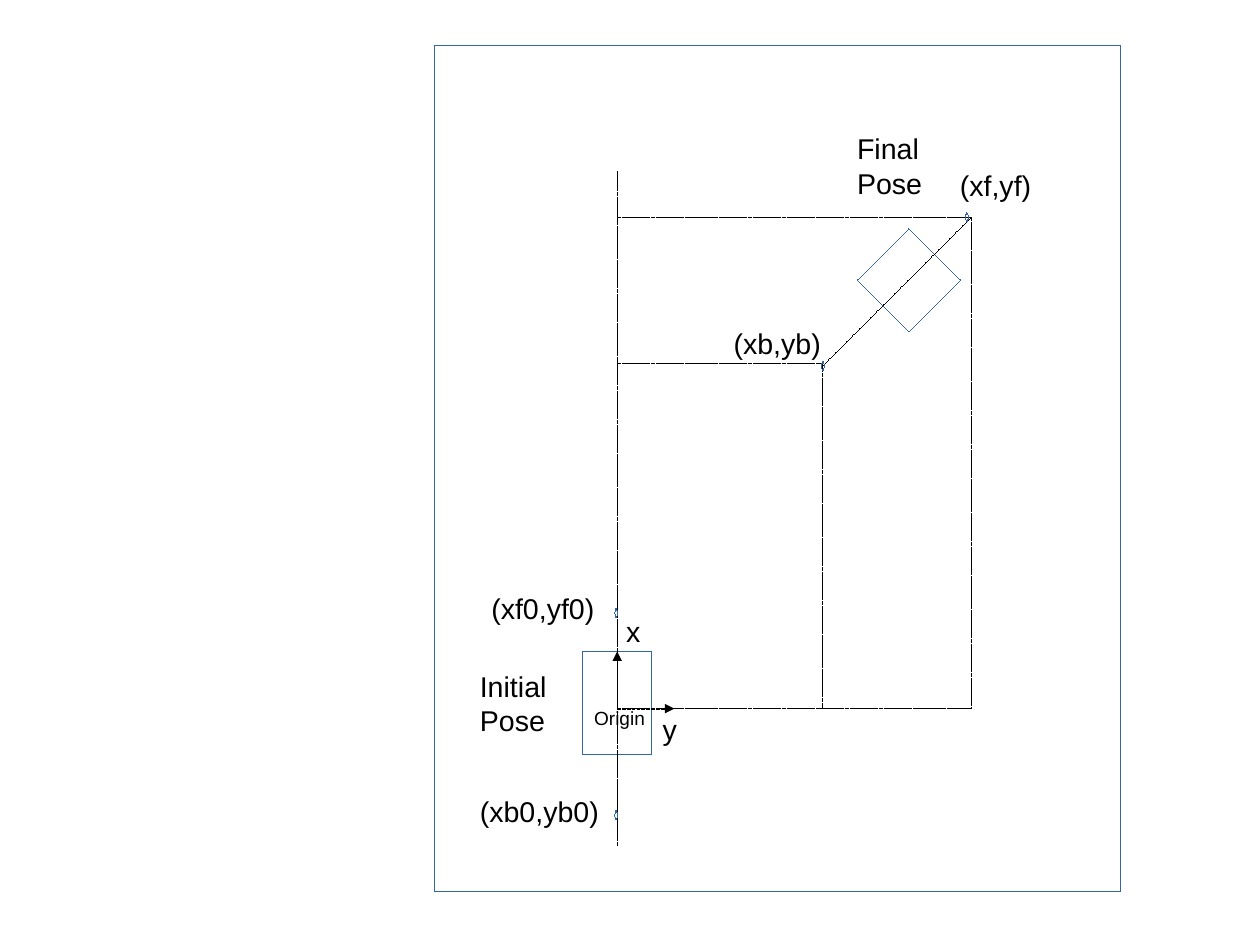
from lxml import etree
from pptx import Presentation
from pptx.dml.color import RGBColor
from pptx.enum.dml import MSO_LINE
from pptx.enum.shapes import MSO_CONNECTOR, MSO_SHAPE
from pptx.enum.text import MSO_ANCHOR, MSO_AUTO_SIZE, PP_ALIGN
from pptx.oxml.ns import qn
from pptx.util import Cm, Inches, Pt

BLACK = RGBColor(0x00, 0x00, 0x00)
BLUE = RGBColor(0x34, 0x65, 0xA4)
RECTANGLE = MSO_SHAPE.RECTANGLE
DIAMOND = MSO_SHAPE.DIAMOND
OVAL = MSO_SHAPE.OVAL
STRAIGHT = MSO_CONNECTOR.STRAIGHT
DASH = MSO_LINE.SQUARE_DOT
FIT_SHAPE = MSO_AUTO_SIZE.SHAPE_TO_FIT_TEXT
TOP = MSO_ANCHOR.TOP
LEFT = PP_ALIGN.LEFT

ORIGIN_X, ORIGIN_Y = 5.4, 6.2
BACK_X, BACK_Y = 7.2, 3.18
FRONT_X, FRONT_Y = 8.5, 1.9
ORIGIN = (ORIGIN_X, ORIGIN_Y)
BACK = (BACK_X, BACK_Y)
FRONT = (FRONT_X, FRONT_Y)

OUTLINES = [
    (RECTANGLE, 3.8, 0.4, 6, 7.4),
    (RECTANGLE, 5.1, 5.7, 0.6, 0.9),
    (DIAMOND, 7.5, 2, 0.9, 0.9),
]
GUIDES = [
    ((ORIGIN_X, 7.4), (ORIGIN_X, 1.5)),
    ((ORIGIN_X, FRONT_Y), FRONT),
    (FRONT, (FRONT_X, ORIGIN_Y)),
    (ORIGIN, (FRONT_X, ORIGIN_Y)),
    ((BACK_X, 3.2), FRONT),
    (BACK, (BACK_X, ORIGIN_Y)),
    ((ORIGIN_X, BACK_Y), BACK),
]
AXIS_LENGTH = 0.5
AXES = [
    (ORIGIN, (ORIGIN_X + AXIS_LENGTH, ORIGIN_Y)),
    (ORIGIN, (ORIGIN_X, ORIGIN_Y - AXIS_LENGTH)),
]
LABELS = [
    ("Initial Pose", 4.1, 5.8, 0.9, 0.66, 18),
    ("Final Pose", 7.4, 1.1, 0.9, 0.66, 18),
    ("Origin", 5.1, 6.13, 1, 0.57, 12),
    ("x", 5.38, 5.32, 0.3, 0.38, 18),
    ("y", 5.7, 6.18, 0.3, 0.66, 18),
    ("(xb,yb)", 6.32, 2.8, 1, 0.38, 18),
    ("(xf,yf)", 8.3, 1.42, 0.9, 0.38, 18),
    ("(xf0,yf0)", 4.2, 5.12, 1.2, 0.38, 18),
    ("(xb0,yb0)", 4.1, 6.9, 1.4, 0.38, 18),
]
POINT_SIZE = (0.02, 0.08)
POINTS = [(5.38, 5.32), (5.38, 7.09), (7.19, 3.16), (8.45, 1.86)]


def set_hairline(shape, color):
    shape.line.color.rgb = color
    outline = shape._element.spPr.find(qn("a:ln"))
    outline.set("w", "0")
    return outline


def add_outline(page, kind, *bounds):
    shape = page.shapes.add_shape(kind, *map(Inches, bounds))
    shape.shadow.inherit = False
    shape.fill.background()
    set_hairline(shape, BLUE)


def add_dashed_line(page, start, end, arrow=False):
    connector = page.shapes.add_connector(STRAIGHT, *map(Inches, start + end))
    outline = set_hairline(connector, BLACK)
    connector.line.dash_style = DASH
    if arrow:
        etree.SubElement(outline, qn("a:tailEnd"), type="triangle")
    etree.SubElement(connector._element.spPr, qn("a:effectLst"))


def add_label(page, text, left, top, width, height, size):
    box = page.shapes.add_textbox(*map(Inches, (left, top, width, height)))
    frame = box.text_frame
    frame.word_wrap = True
    frame.auto_size = FIT_SHAPE
    frame.vertical_anchor = TOP
    para = frame.paragraphs[0]
    para.text = text
    para.alignment = LEFT
    para.font.name = "Arial"
    para.font.size = Pt(size)
    para.font.color.rgb = BLACK


def main():
    deck = Presentation()
    deck.slide_width = Cm(28)
    deck.slide_height = Cm(21)
    page = deck.slides.add_slide(deck.slide_layouts.get_by_name("Blank"))
    for outline in OUTLINES:
        add_outline(page, *outline)
    for start, end in GUIDES:
        add_dashed_line(page, start, end)
    for start, end in AXES:
        add_dashed_line(page, start, end, arrow=True)
    for label in LABELS:
        add_label(page, *label)
    for point in POINTS:
        add_outline(page, OVAL, *point, *POINT_SIZE)
    deck.save("out.pptx")


if __name__ == "__main__":
    main()
